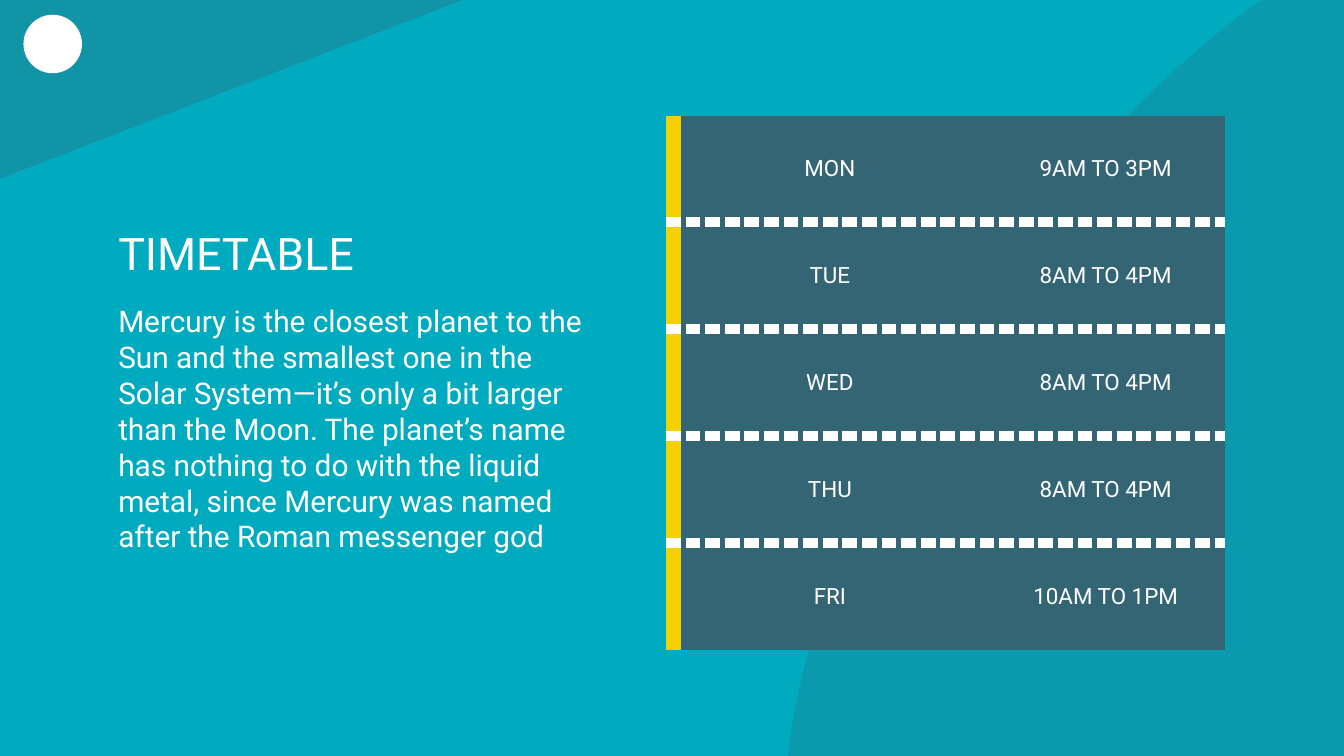
from lxml import etree
from pptx import Presentation
from pptx.dml.color import RGBColor
from pptx.enum.shapes import MSO_SHAPE
from pptx.enum.text import MSO_ANCHOR, MSO_AUTO_SIZE, PP_ALIGN
from pptx.oxml.ns import qn
from pptx.util import Pt

PX = 4572  # 200 px to the inch
FONT = "Roboto"
COLORS = {"background": "00ABBF", "slate": "336574", "yellow": "F4D000", "white": "FFFFFF"}
LEFT, CENTER = PP_ALIGN.LEFT, PP_ALIGN.CENTER
TOP, MIDDLE = MSO_ANCHOR.TOP, MSO_ANCHOR.MIDDLE
OVAL, RIGHT_TRIANGLE = MSO_SHAPE.OVAL, MSO_SHAPE.RIGHT_TRIANGLE
NO_AUTOFIT = MSO_AUTO_SIZE.NONE

HOURS = [
    ("MON", "9AM TO 3PM"),
    ("TUE", "8AM TO 4PM"),
    ("WED", "8AM TO 4PM"),
    ("THU", "8AM TO 4PM"),
    ("FRI", "10AM TO 1PM"),
]
DESCRIPTION = (
    "Mercury is the closest planet to the Sun and the smallest one in the Solar System—it’s "
    "only a bit larger than the Moon. The planet’s name has nothing to do with the liquid "
    "metal, since Mercury was named after the Roman messenger god"
)


def write_text(frame, text, size, align):
    frame.text = text
    paragraph = frame.paragraphs[0]
    paragraph.alignment = align
    paragraph.space_before = Pt(0)
    font = paragraph.runs[0].font
    font.name, font.size = FONT, Pt(size)
    font.color.rgb = RGBColor.from_string(COLORS["white"])


def set_borders(cell, borders):
    """Draw the given sides as (color, points, dash); hide the others."""
    properties = cell._tc.get_or_add_tcPr()
    for index, side in enumerate(("lnL", "lnR", "lnT", "lnB")):
        line = etree.Element(qn(f"a:{side}"))
        properties.insert(index, line)
        if side not in borders:
            etree.SubElement(line, qn("a:noFill"))
            continue
        color, points, dash = borders[side]
        line.set("w", str(Pt(points)))
        fill = etree.SubElement(line, qn("a:solidFill"))
        etree.SubElement(fill, qn("a:srgbClr"), val=COLORS[color])
        etree.SubElement(line, qn("a:prstDash"), val=dash)


presentation = Presentation()
presentation.slide_width, presentation.slide_height = 2000 * PX, 1125 * PX
slide = presentation.slides.add_slide(presentation.slide_layouts[0])
slide.background.fill.solid()
slide.background.fill.fore_color.rgb = RGBColor.from_string(COLORS["background"])

# Background decorations and the corner dot
for kind, box, rotation, color, opacity in [
    (RIGHT_TRIANGLE, (0, 0, 688, 266), 180, "slate", 32),
    (OVAL, (858, 254, 1908, 854), 304.5, "slate", 23),
    (OVAL, (36, 23, 85, 85), 0, "white", 100),
]:
    shape = slide.shapes.add_shape(kind, *(value * PX for value in box))
    shape.shadow.inherit = False
    shape.rotation = rotation
    shape.fill.solid()
    shape.fill.fore_color.rgb = RGBColor.from_string(COLORS[color])
    if kind == RIGHT_TRIANGLE:
        shape._element.spPr.find(qn("a:xfrm")).set("flipH", "1")
    if opacity < 100:
        shape.line.fill.background()
        fill_color = shape._element.spPr.find(f"{qn('a:solidFill')}/{qn('a:srgbClr')}")
        etree.SubElement(fill_color, qn("a:alpha"), val=str(opacity * 1000))
    else:
        shape.line.color.rgb = RGBColor.from_string(COLORS[color])
        shape.line.width = Pt(0.75)

# Timetable
table = slide.shapes.add_table(len(HOURS), 2, 1002 * PX, 172 * PX, 821 * PX, 795 * PX).table
table.first_row = table.horz_banding = False
table.columns[0].width, table.columns[1].width = 466 * PX, 355 * PX
divider = ("white", 6, "dash")
for row, texts in enumerate(HOURS):
    for column, text in enumerate(texts):
        cell = table.cell(row, column)
        cell.vertical_anchor = MIDDLE
        horizontal, vertical = ((14, 12), (20, 20))[column]
        cell.margin_left = cell.margin_right = horizontal * PX
        cell.margin_top = cell.margin_bottom = vertical * PX
        cell.fill.solid()
        cell.fill.fore_color.rgb = RGBColor.from_string(COLORS["slate"])
        write_text(cell.text_frame, text, size=12, align=CENTER)
        borders = {}
        if column == 0:
            borders["lnL"] = ("yellow", 9, "solid")
        if row > 0:
            borders["lnT"] = divider
        if row < len(HOURS) - 1:
            borders["lnB"] = divider
        set_borders(cell, borders)

# Title and description
for placeholder, box, text, size, anchor in [
    (slide.shapes.title, (156, 313, 844, 126), "TIMETABLE", 24, MIDDLE),
    (slide.placeholders[1], (156, 431, 764, 426), DESCRIPTION, 16, TOP),
]:
    placeholder.left, placeholder.top, placeholder.width, placeholder.height = (
        value * PX for value in box
    )
    frame = placeholder.text_frame
    frame.word_wrap = True
    frame.auto_size = NO_AUTOFIT
    frame.vertical_anchor = anchor
    frame.margin_left = frame.margin_right = frame.margin_top = frame.margin_bottom = 20 * PX
    write_text(frame, text, size=size, align=LEFT)

presentation.save("out.pptx")
